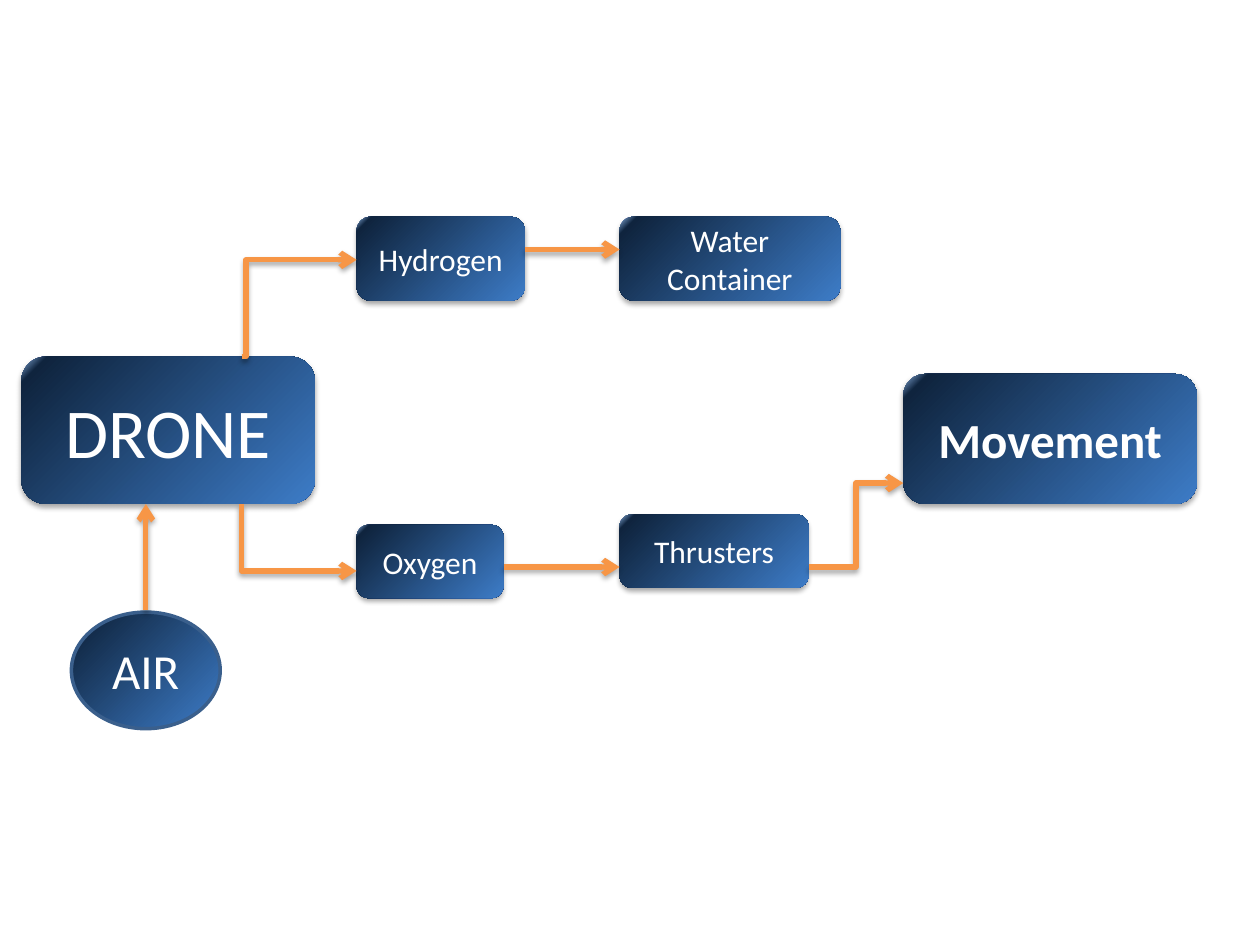
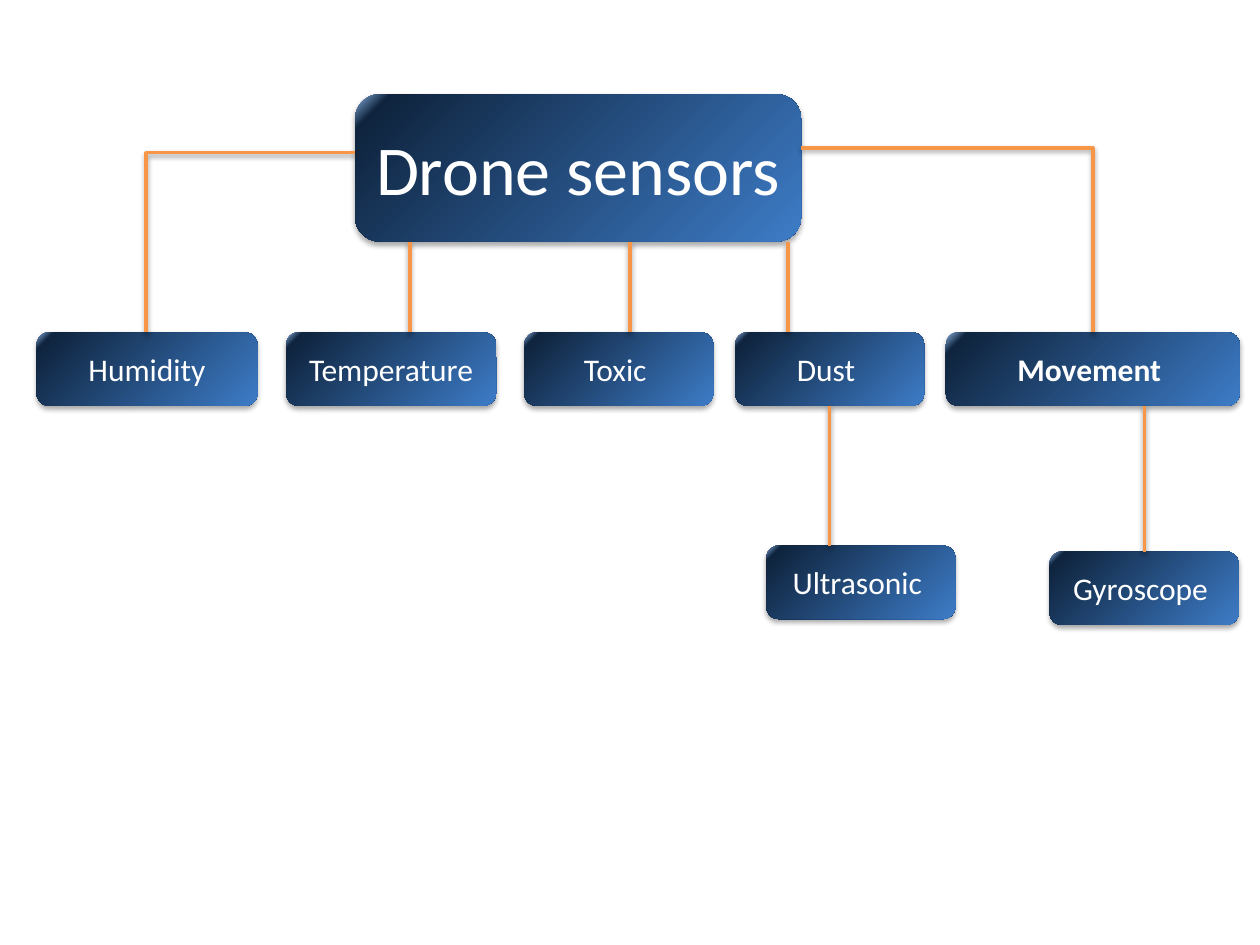
from lxml import etree
from pptx import Presentation
from pptx.dml.color import RGBColor
from pptx.enum.shapes import MSO_CONNECTOR, MSO_SHAPE
from pptx.enum.text import MSO_ANCHOR, PP_ALIGN
from pptx.oxml.ns import qn
from pptx.util import Cm, Pt

ROUND = MSO_SHAPE.ROUNDED_RECTANGLE
OVAL = MSO_SHAPE.OVAL
STRAIGHT = MSO_CONNECTOR.STRAIGHT
ELBOW = MSO_CONNECTOR.ELBOW
MIDDLE = MSO_ANCHOR.MIDDLE
CENTER = PP_ALIGN.CENTER

HUES = {
    "glint": "8EB4E3",
    "navy": "0F243E",
    "blue": "3D7CC7",
    "rim": "3A5F8C",
    "wire": "F79646",
    "text": "FFFFFF",
    "shade": "000000",
}
STOPS = [(0, "glint"), (6, "navy"), (100, "blue")]
FONT = {"name": "Calibri", "size": Pt(18), "bold": False}
LOW = 1.48


def color(key):
    return RGBColor.from_string(HUES[key])


def add(node, tag, **attrs):
    child = etree.SubElement(node, qn(tag))
    for key, value in attrs.items():
        child.set(key, str(value))
    return child


def add_hue(node, key):
    return add(node, "a:srgbClr", val=HUES[key])


def shade(shape, alpha, dist):
    effects = add(shape._element.spPr, "a:effectLst")
    cast = add(effects, "a:outerShdw", blurRad=Pt(3.1), dist=Pt(dist),
               dir=5400000, rotWithShape=0)
    add(add_hue(cast, "shade"), "a:alpha", val=alpha * 1000)


def blend(shape):
    shape.fill.gradient()
    shape.fill.gradient_angle = 315
    stops = shape._element.spPr.find(".//" + qn("a:gsLst"))
    for stop in list(stops):
        stops.remove(stop)
    for place, key in STOPS:
        add_hue(add(stops, "a:gs", pos=place * 1000), key)


def add_node(slide, text, left, top, width, height, kind=ROUND, **style):
    node = slide.shapes.add_shape(
        kind, Cm(left), Cm(top), Cm(width), Cm(height))
    blend(node)
    if kind == OVAL:
        node.line.color.rgb = color("rim")
        node.line.width = Pt(2)
        node.shadow.inherit = False
    else:
        node.line.fill.background()
        shade(node, 35, 1.8)
    frame = node.text_frame
    frame.word_wrap = True
    frame.vertical_anchor = MIDDLE
    para = frame.paragraphs[0]
    para.alignment = CENTER
    run = para.add_run()
    run.text = text
    for key, value in {**FONT, **style}.items():
        setattr(run.font, key, value)
    run.font.color.rgb = color("text")


def add_wire(slide, start, end, bend=None, arrow=False):
    kind = STRAIGHT if bend is None else ELBOW
    wire = slide.shapes.add_connector(
        kind, *(Cm(value) for value in start + end))
    wire.line.color.rgb = color("wire")
    wire.line.width = Pt(3 if arrow else 2)
    if arrow:
        add(wire.line._get_or_add_ln(), "a:tailEnd", type="arrow")
    if bend is not None:
        guides = wire._element.spPr.find(".//" + qn("a:avLst"))
        add(guides, "a:gd", name="adj1", fmla=f"val {round(bend * 100000)}")
    shade(wire, *((35, 1.8) if arrow else (38, 1.6)))


def draw_flow(slide):
    add_node(slide, "DRONE", 0.43, 7.19, 5.92, 2.97, size=Pt(40))
    add_node(slide, "Oxygen", 7.19, 10.58, 2.96, LOW)
    add_node(slide, "Hydrogen", 7.19, 4.37, 3.39, 1.69)
    add_node(slide, "Water Container", 12.49, 4.37, 4.45, 1.69)
    add_node(slide, "AIR", 1.44, 12.34, 3, 2.35, OVAL, size=Pt(28))
    add_node(slide, "Thrusters", 12.49, 10.37, 3.81, LOW)
    add_node(slide, "Movement", 18.21, 7.54, 5.92, 2.62,
             size=Pt(28), bold=True)
    for start, end, bend in [
        ((2.94, 12.3), (2.94, 10.16), None),
        ((4.87, 7.19), (7.19, 5.24), 0.04),
        ((4.87, 10.16), (7.19, 11.51), 0),
        ((10.58, 5.03), (12.49, 5.03), None),
        ((10.16, 11.43), (12.49, 11.43), None),
        ((16.3, 11.43), (18.21, 9.74), 0.5),
    ]:
        add_wire(slide, start, end, bend, arrow=True)


def draw_tree(slide):
    base, row = 4.87, 6.7
    add_node(slide, "Drone sensors", 7.16, 1.9, 8.99, 2.97, size=Pt(40))
    for text, left, width, bold in [
        ("Humidity", 0.74, 4.45, False),
        ("Temperature", 5.77, 4.23, False),
        ("Toxic ", 10.57, 3.81, False),
        ("Dust ", 14.82, 3.81, False),
        ("Movement ", 19.07, 5.92, True),
    ]:
        add_node(slide, text, left, row, width, LOW, bold=bold)
    add_wire(slide, (7.16, 3.08), (2.95, row), 1)
    add_wire(slide, (16.15, 2.98), (22.03, row), 1)
    for across in (8.26, 12.7, 15.88):
        add_wire(slide, (across, base), (across, row))
    for text, left, top, across in [
        ("Ultrasonic ", 15.45, 11, 16.72),
        ("Gyroscope ", 21.16, 11.12, 23.07),
    ]:
        add_node(slide, text, left, top, 3.81, LOW)
        add_wire(slide, (across, row + LOW), (across, top))


def main():
    deck = Presentation()
    deck.slide_width, deck.slide_height = Cm(25.4), Cm(19.05)
    blank = deck.slide_layouts[6]
    for draw in (draw_flow, draw_tree):
        draw(deck.slides.add_slide(blank))
    deck.save("out.pptx")


if __name__ == "__main__":
    main()
